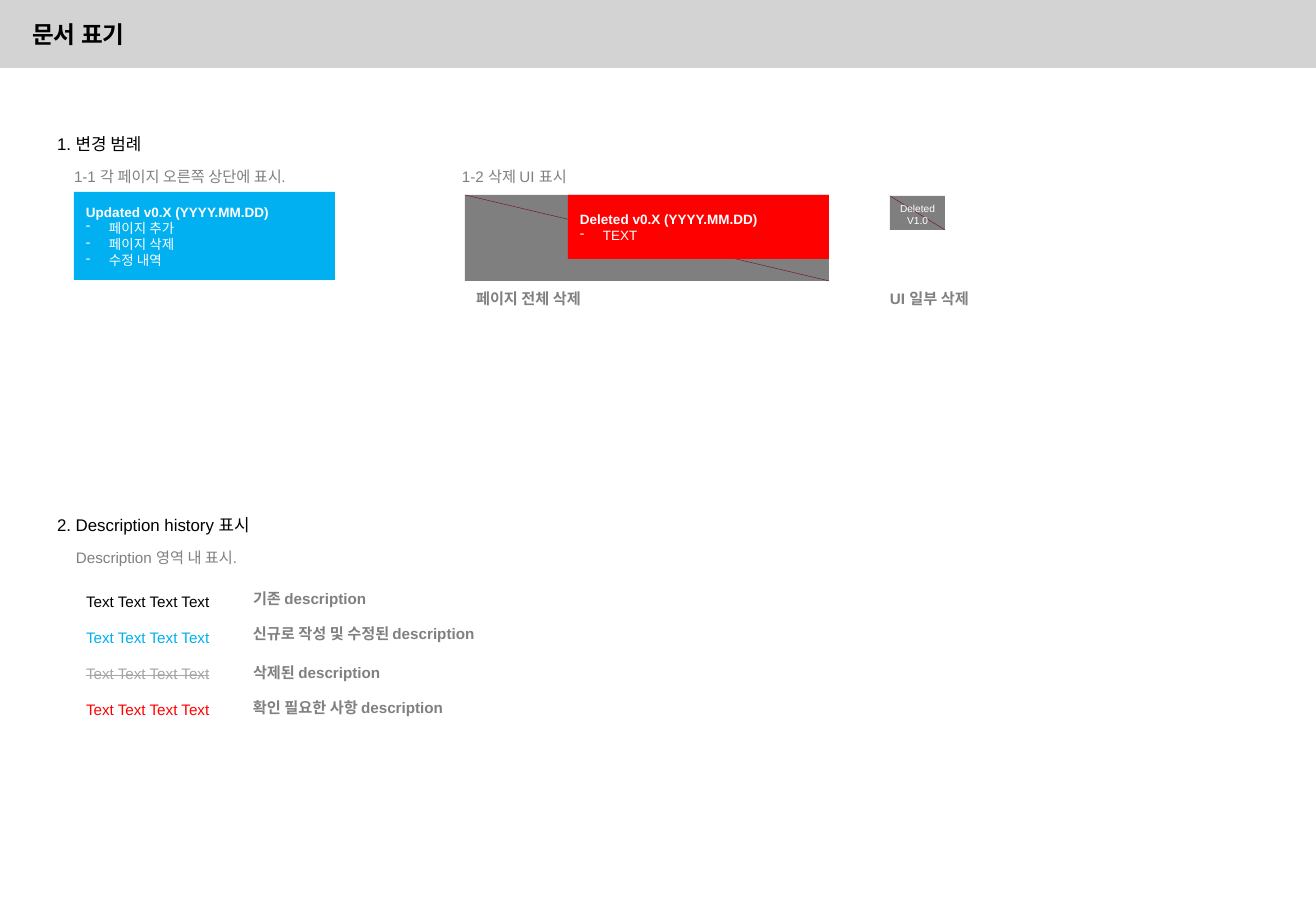
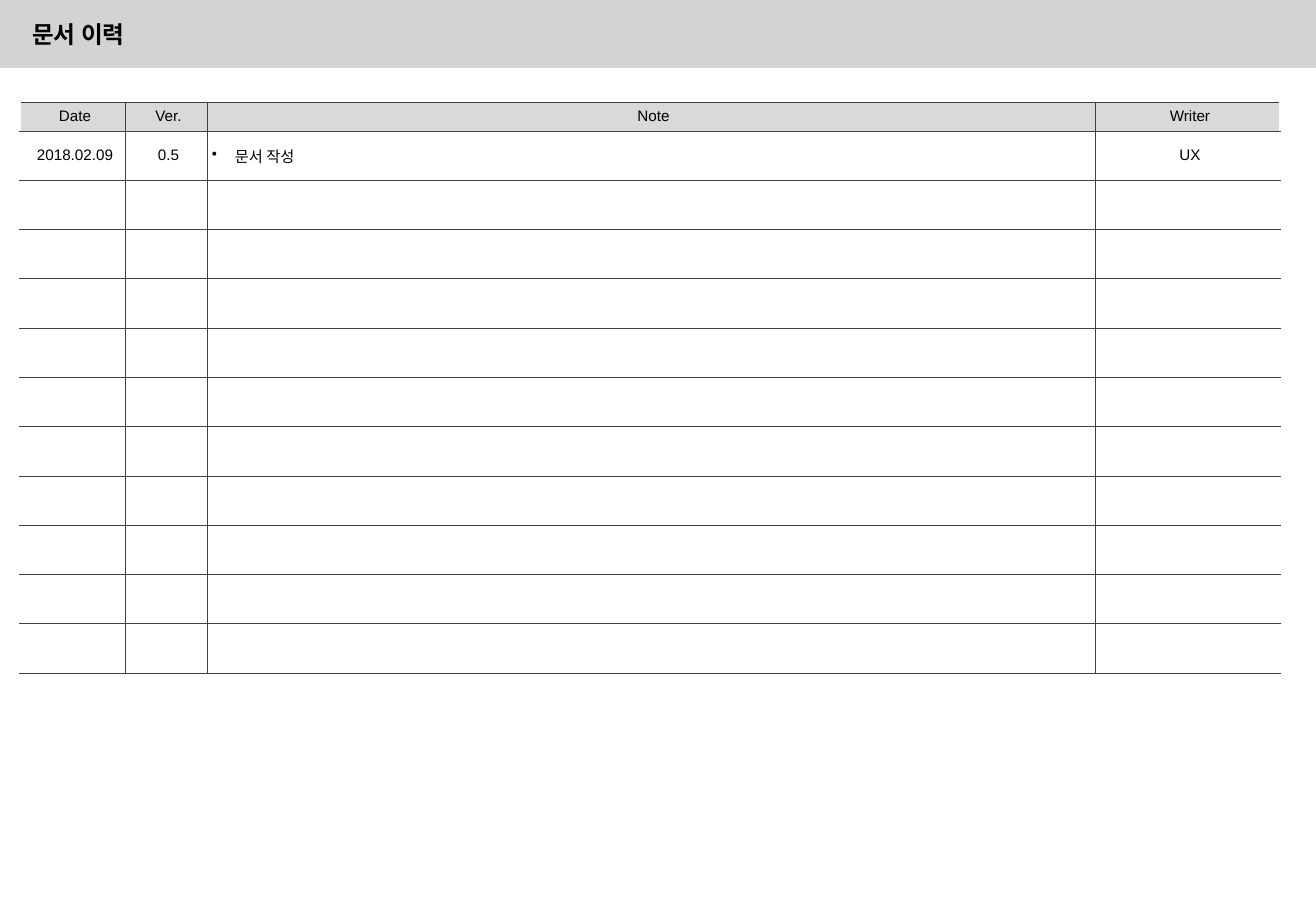
"""Builds the notation guide and the revision history slides of a document."""
from lxml import etree
from pptx import Presentation
from pptx.dml.color import RGBColor
from pptx.enum.shapes import MSO_CONNECTOR, MSO_SHAPE
from pptx.enum.text import MSO_ANCHOR, MSO_AUTO_SIZE, PP_ALIGN
from pptx.oxml.ns import qn
from pptx.util import Pt

PX = 914400 / 121.5
FONT = "Arial"
RECT = MSO_SHAPE.RECTANGLE
STRAIGHT = MSO_CONNECTOR.STRAIGHT
TOP, MIDDLE, BOTTOM = MSO_ANCHOR.TOP, MSO_ANCHOR.MIDDLE, MSO_ANCHOR.BOTTOM
LEFT, CENTER = PP_ALIGN.LEFT, PP_ALIGN.CENTER
FIXED, GROW = MSO_AUTO_SIZE.NONE, MSO_AUTO_SIZE.SHAPE_TO_FIT_TEXT
COLORS = {
    "band": "D3D3D3", "black": "000000", "white": "FFFFFF", "gray": "808080",
    "faded": "A6A6A6", "blue": "00B0F0", "red": "FF0000", "strike": "E62238",
    "header": "D9D9D9", "rule": "404040",
}


def px(*lengths):
    return [round(length * PX) for length in lengths]


def rgb(name):
    return RGBColor.from_string(COLORS[name])


def write(paragraph, text, size=9, color="black", bold=False, strike=False,
          align=LEFT, spacing=None, before=None, bullet=None):
    paragraph.alignment = align
    if spacing:
        paragraph.line_spacing = spacing
    if before:
        paragraph.space_before = Pt(before)
    if bullet:
        properties = paragraph._p.get_or_add_pPr()
        indent = px(23)[0]
        properties.set("marL", str(indent))
        properties.set("indent", str(-indent))
        etree.SubElement(properties, qn("a:buChar")).set("char", bullet)
    run = paragraph.add_run()
    run.text = text
    run.font.name = FONT
    run.font.size = Pt(size)
    run.font.bold = bold
    run.font.color.rgb = rgb(color)
    if strike:
        run._r.get_or_add_rPr().set("strike", "sngStrike")


class Deck:
    def __init__(self, width, height):
        self.presentation = Presentation()
        self.width = width
        self.presentation.slide_width, self.presentation.slide_height = px(width, height)
        self.slide = None

    def page(self, heading):
        layout = self.presentation.slide_layouts[5]
        self.slide = self.presentation.slides.add_slide(layout)
        band = self.block(0, 0, self.width, 68, "band")
        self.slide.shapes.element.insert(2, band.element)
        title = self.slide.shapes.title
        title.left, title.top, title.width, title.height = px(20, 17, 1259, 58)
        frame = title.text_frame
        frame.auto_size = FIXED
        frame.vertical_anchor = TOP
        write(frame.paragraphs[0], heading, size=14, bold=True, spacing=0.9)

    def block(self, x, y, w, h, color, shapes=None):
        shapes = shapes or self.slide.shapes
        block = shapes.add_shape(RECT, *px(x, y, w, h))
        block.shadow.inherit = False
        block.fill.solid()
        block.fill.fore_color.rgb = rgb(color)
        block.line.fill.background()
        return block

    def text(self, x, y, w, h, *lines, wrap=False, anchor=TOP, inset=12, **style):
        frame = self.slide.shapes.add_textbox(*px(x, y, w, h)).text_frame
        frame.word_wrap = wrap
        frame.auto_size = GROW
        frame.vertical_anchor = anchor
        frame.margin_left = px(inset)[0]
        for index, line in enumerate(lines):
            paragraph = frame.add_paragraph() if index else frame.paragraphs[0]
            write(paragraph, line, **style)

    def notice(self, x, y, w, h, color, heading, items):
        frame = self.block(x, y, w, h, color).text_frame
        frame.vertical_anchor = MIDDLE
        write(frame.paragraphs[0], heading, size=8, color="white", bold=True)
        for item in items:
            write(frame.add_paragraph(), item, size=8, color="white", bullet="-")

    def deleted_area(self, x, y, w, h):
        shapes = self.slide.shapes.add_group_shape().shapes
        veil = self.block(x, y, w, h, "black", shapes)
        tint = veil.element.spPr.find(".//" + qn("a:srgbClr"))
        etree.SubElement(tint, qn("a:alpha")).set("val", "50000")
        diagonal = shapes.add_connector(STRAIGHT, *px(x, y, x + w, y + h))
        diagonal.line.color.rgb = rgb("strike")
        diagonal.line.width = Pt(0.25)
        etree.SubElement(diagonal.element.spPr, qn("a:effectLst"))

    def borders(self, cell, outer_sides):
        properties = cell._tc.get_or_add_tcPr()
        for index, side in enumerate("LRTB"):
            color, width = ("white", 1) if side in outer_sides else ("rule", 0.25)
            line = etree.Element(qn("a:ln" + side), w=str(Pt(width)))
            fill = etree.SubElement(line, qn("a:solidFill"))
            etree.SubElement(fill, qn("a:srgbClr")).set("val", COLORS[color])
            properties.insert(index, line)

    def history(self, x, y, widths, heights, rows):
        area = px(x, y, sum(widths), sum(heights))
        table = self.slide.shapes.add_table(len(heights), len(widths), *area).table
        table.horz_banding = table.first_row = False
        for column, width in zip(table.columns, px(*widths)):
            column.width = width
        for row, height in zip(table.rows, px(*heights)):
            row.height = height
        last = len(widths) - 1
        for r in range(len(heights)):
            for c in range(len(widths)):
                cell = table.cell(r, c)
                cell.margin_left, cell.margin_right = px(5, 0)
                cell.vertical_anchor = MIDDLE if r else TOP
                if r:
                    cell.fill.background()
                else:
                    cell.fill.solid()
                    cell.fill.fore_color.rgb = rgb("header")
                self.borders(cell, {0: "L", last: "R"}.get(c, ""))
                if r < len(rows):
                    listed = r > 0 and c == 2
                    write(cell.text_frame.paragraphs[0], rows[r][c],
                          align=LEFT if listed else CENTER,
                          bullet="•" if listed else None)


deck = Deck(1316, 911.25)

deck.page("문서 표기")
for top, section in ((128, "1. 변경 범례"), (509, "2. Description history 표시")):
    deck.text(45, top, 357, 33, section, wrap=True, size=10, before=2)
for left, top, width, guide in (
    (62, 152, 266, "1-1 각 페이지 오른쪽 상단에 표시."),
    (450, 152, 143, "1-2 삭제 UI 표시"),
    (64, 533, 203, "Description 영역 내 표시."),
):
    deck.text(left, top, width, 40, guide, color="gray", spacing=1.5)

deck.notice(74, 192, 261, 88, "blue", "Updated v0.X (YYYY.MM.DD)",
            ("페이지 추가", "페이지 삭제", "수정 내역"))
deck.deleted_area(465, 195, 364, 86)
deck.notice(568, 195, 261, 64, "red", "Deleted v0.X (YYYY.MM.DD)", ("TEXT",))
deck.deleted_area(890, 196, 55, 34)
deck.text(887, 196, 61, 36, "Deleted", "V1.0", size=6, color="white", align=CENTER)
for left, width, caption in ((464, 142, "페이지 전체 삭제"), (878, 113, "UI 일부 삭제")):
    deck.text(left, 283, width, 30, caption, color="gray", bold=True)

for index, (color, top, width, meaning) in enumerate((
    ("black", 583, 142, "기존 description"),
    ("blue", 618, 265, "신규로 작성 및 수정된 description"),
    ("faded", 657, 158, "삭제된 description"),
    ("red", 693, 230, "확인 필요한 사항 description"),
)):
    deck.text(86, 577 + 36 * index, 156, 40, "Text Text Text Text", wrap=True,
              anchor=BOTTOM, inset=0, color=color, strike=color == "faded", spacing=1.5)
    deck.text(241, top, width, 30, meaning, color="gray", bold=True)

deck.page("문서 이력")
deck.history(20, 102, (105, 82, 888, 185), [29] + [49] * 11, (
    ("Date", "Ver.", "Note", "Writer"),
    ("2018.02.09", "0.5", "문서 작성", "UX"),
))

deck.presentation.save("out.pptx")
